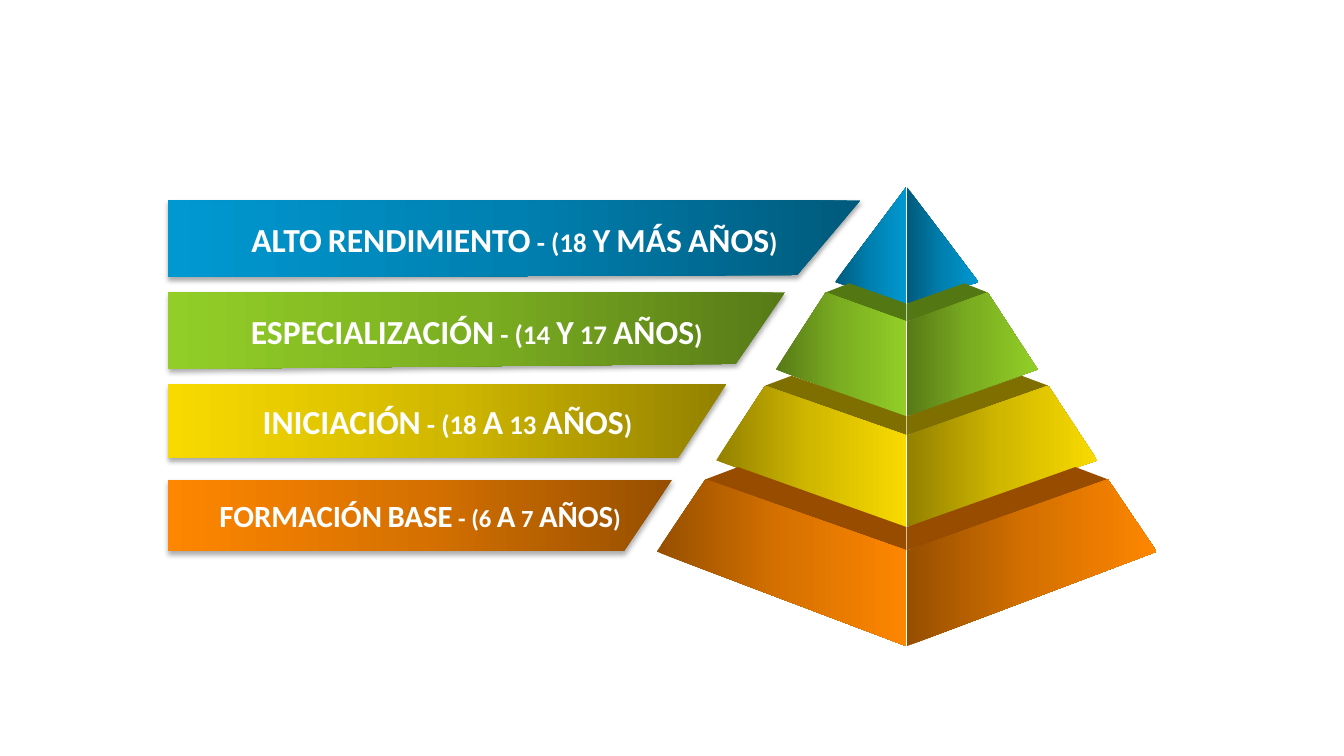
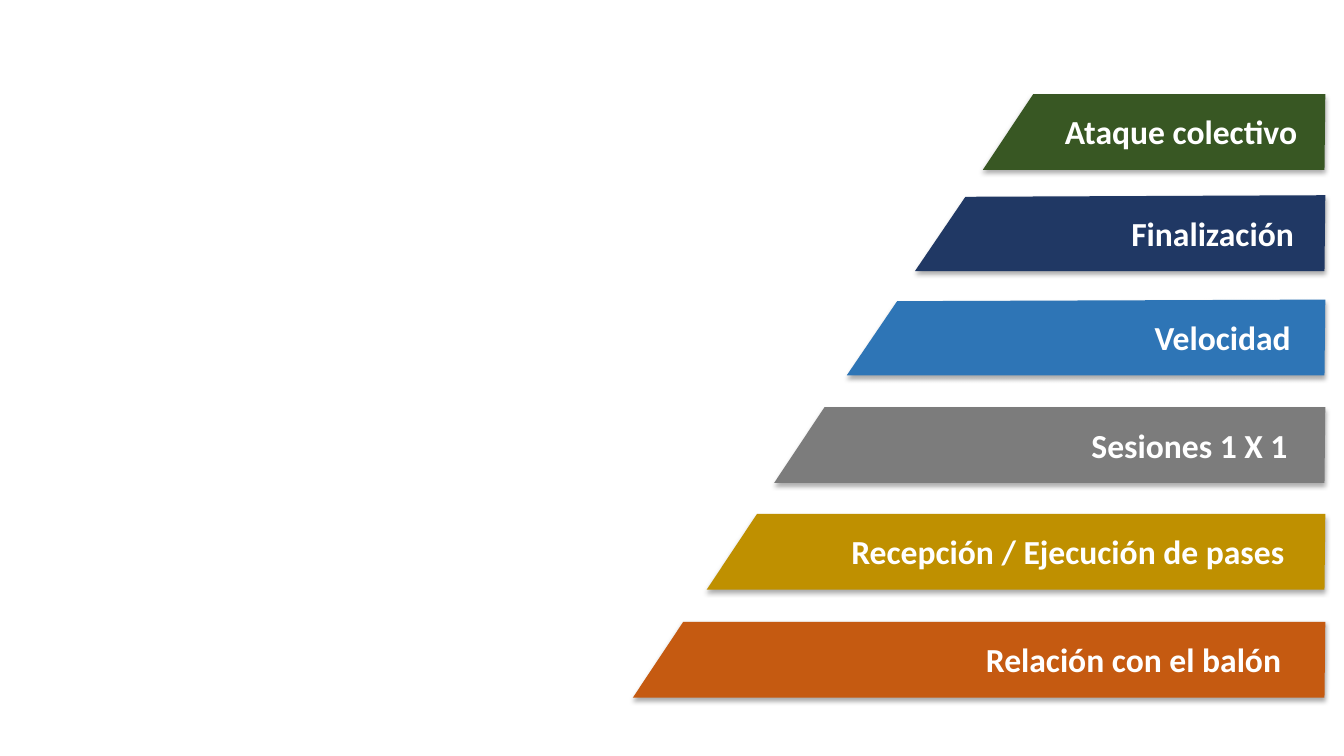
from copy import deepcopy

from lxml.etree import SubElement
from pptx import Presentation
from pptx.dml.color import RGBColor
from pptx.enum.text import MSO_ANCHOR, MSO_AUTO_SIZE, PP_ALIGN
from pptx.oxml.ns import qn
from pptx.util import Cm, Pt

# Shared style
FONT = {"name": "Calibri", "bold": True}
WHITE = "FFFFFF"
BLUE = ("005A7C", "0080B0", "0098D1")
GREEN = ("577A17", "7BAE21", "92CE27")
YELLOW = ("938100", "D1B800", "F8DA00")
ORANGE = ("964F00", "D67100", "FE8600")
SHADE = {"blurRad": Pt(3.5), "dist": Pt(2.2), "dir": 5400000,
         "algn": "ctr", "rotWithShape": 0}


def color(code):
    return RGBColor.from_string(code)


class Deck:
    def __init__(self, wide, high):
        self.prs = Presentation()
        self.prs.slide_width, self.prs.slide_height = Cm(wide), Cm(high)
        self.slide = None

    def page(self):
        self.slide = self.prs.slides.add_slide(self.prs.slide_layouts[6])

    def paint(self, shape, tone, angle):
        """Fill with one colour, or blend a tuple of three."""
        fill = shape.fill
        if isinstance(tone, str):
            fill.solid()
            fill.fore_color.rgb = color(tone)
            return
        fill.gradient()
        first = shape.element.spPr.find(".//" + qn("a:gs"))
        first.addnext(deepcopy(first))
        for stop, code, place in zip(fill.gradient_stops, tone, (0, 0.5, 1)):
            stop.color.rgb = color(code)
            stop.position = place
        fill.gradient_angle = angle

    def outline(self, points, tone, angle=0):
        spots = [(Cm(x), Cm(y)) for x, y in points]
        build = self.slide.shapes.build_freeform(*spots[0])
        build.add_line_segments(spots[1:], close=True)
        shape = build.convert_to_shape()
        shape.shadow.inherit = False
        shape.line.fill.background()
        self.paint(shape, tone, angle)
        return shape

    def bar(self, points, tone):
        shape = self.outline(points, tone, 180)
        effects = shape.element.spPr.find(qn("a:effectLst"))
        shade = SubElement(effects, qn("a:outerShdw"))
        for key, value in SHADE.items():
            shade.set(key, str(value))
        black = SubElement(shade, qn("a:srgbClr"), val="000000")
        SubElement(black, qn("a:alpha"), val="32000")
        return shape

    def words(self, shape, text, size, align, caps=False):
        frame = shape.text_frame
        frame.word_wrap = True
        para = frame.paragraphs[0]
        para.alignment = align
        run = para.add_run()
        run.text = text
        for key, value in {**FONT, "size": Pt(size)}.items():
            setattr(run.font, key, value)
        run.font.color.rgb = color(WHITE)
        if caps:
            run.font._element.set("cap", "small")
        return frame

    def label(self, left, top, width, height, text):
        box = self.slide.shapes.add_textbox(
            Cm(left), Cm(top), Cm(width), Cm(height))
        frame = self.words(box, text, 24, PP_ALIGN.RIGHT)
        frame.auto_size = MSO_AUTO_SIZE.SHAPE_TO_FIT_TEXT

    def tier(self, mid, top, base, tone, lid=None):
        """Draw both faces; top and base give half width, side y, ridge y."""
        for side in (-1, 1):
            def spot(half, y):
                return mid + side * (half + 0.01), y

            if lid:
                back, rear, ridge, shade = lid
                self.outline([spot(0, ridge), spot(0, top[2]),
                              spot(*top[:2]), spot(back, rear)], shade)
            self.outline([spot(0, top[2]), spot(*top[:2]),
                          spot(*base[:2]), spot(0, base[2])], tone)


deck = Deck(33.87, 19.05)

# Slide 1: pyramid of stages
deck.page()
tiers = [
    ((0, 4.72, 4.72), (1.8, 7.11, 7.65), BLUE, None),
    ((2.03, 7.37, 8.1), (3.29, 9.31, 10.49), GREEN,
     (1.44, 7.14, 7.65, "537712")),
    ((3.56, 9.72, 10.97), (4.79, 11.6, 13.28), YELLOW,
     (2.89, 9.47, 10.49, "7E6F00")),
    ((5.06, 12.08, 13.87), (6.29, 13.9, 16.28), ORANGE,
     (4.24, 11.77, 13.28, "974C00")),
]
for tier in tiers:
    deck.tier(22.85, *tier)

# Stage bars: top, right, foot right, foot y, base, tone, size, text
START = 4.24
stages = [
    (5.05, 21.69, 20.09, 6.93, 6.99, BLUE, 24,
     "ALTO RENDIMIENTO - (18 Y MÁS AÑOS)"),
    (7.37, 19.79, 18.54, 9.17, 9.3, GREEN, 24,
     "ESPECIALIZACIÓN - (14 Y 17 AÑOS)"),
    (9.68, 18.31, 17.09, 11.53, 11.53, YELLOW, 24,
     "INICIACIÓN - (18 A 13 AÑOS)"),
    (12.09, 16.94, 15.72, 13.89, 13.89, ORANGE, 22,
     "FORMACIÓN BASE - (6 A 7 AÑOS)"),
]
for top, right, foot, low, base, tone, size, text in stages:
    bar = deck.bar([(START, top), (right, top), (foot, low), (START, base)], tone)
    frame = deck.words(bar, text, size, PP_ALIGN.CENTER, caps=True)
    frame.vertical_anchor = MSO_ANCHOR.MIDDLE

# Slide 2: steps of skills, from the bottom up
deck.page()
EDGE, TALL, SLANT = 33.4, 1.91, 1.27
# left, top, drop of the upper left corner, tone, text
skills = [
    (15.95, 15.67, 0, "C55A11", "Relación con el balón"),
    (17.81, 12.95, 0, "BF9000", "Recepción / Ejecución de pases"),
    (19.51, 10.26, 0, "7C7C7C", "Sesiones 1 X 1"),
    (21.34, 7.55, 0.04, "2E75B6", "Velocidad"),
    (23.06, 4.92, 0.04, "203864", "Finalización"),
    (24.77, 2.37, 0, "385723", "Ataque colectivo"),
]
for step, (left, top, drop, tone, text) in enumerate(skills):
    base = top + TALL
    deck.bar([(left, base), (left + SLANT, top + drop),
              (EDGE, top), (EDGE - 0.02, base)], tone)
    start, end = 17.5 + 1.61 * step, 32.54 + 0.08 * step
    deck.label(start, top + 0.31, end - start, 1.27, text)

deck.prs.save("out.pptx")
